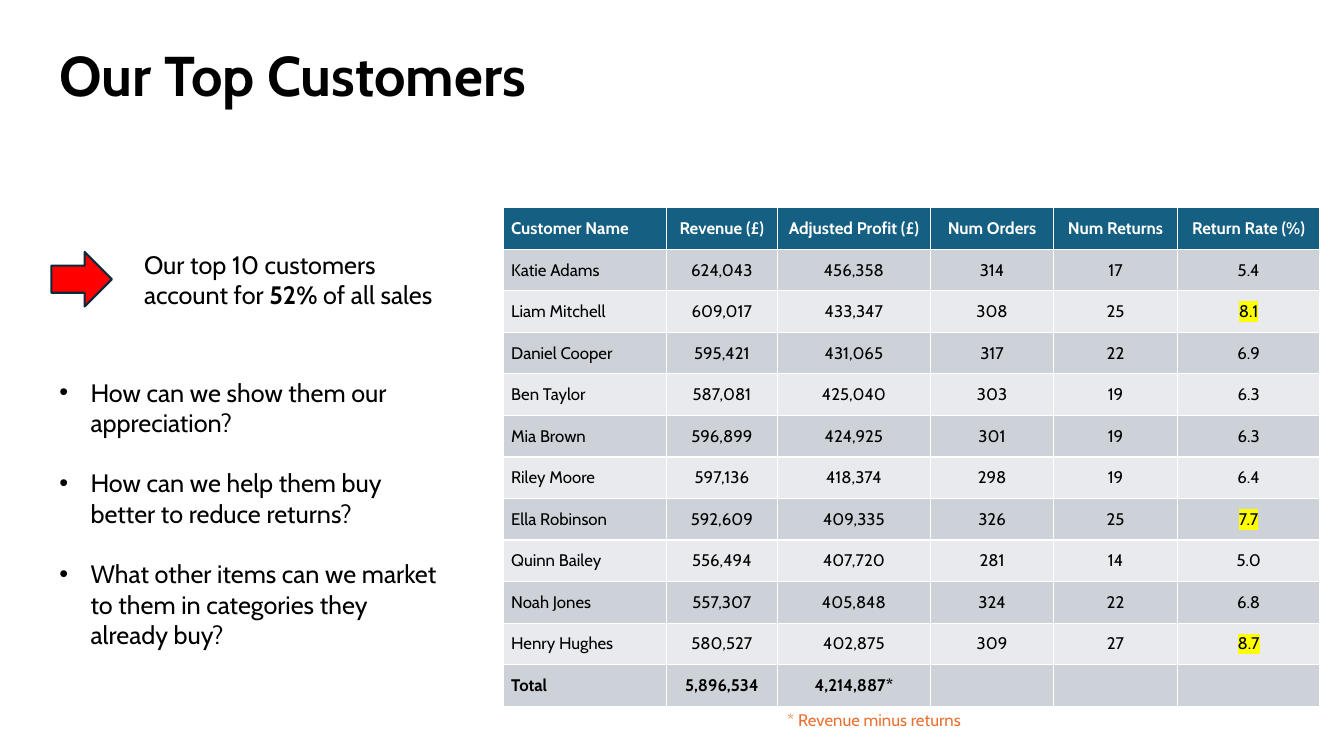
from dataclasses import dataclass

from lxml.etree import SubElement
from pptx import Presentation
from pptx.dml.color import RGBColor
from pptx.enum.shapes import MSO_SHAPE as Preset
from pptx.enum.text import MSO_ANCHOR as Anchor, MSO_AUTO_SIZE as AutoSize, PP_ALIGN as Align
from pptx.oxml.ns import qn
from pptx.util import Inches, Pt


@dataclass(frozen=True)
class Theme:
    font: str = "Cabin"
    black: str = "000000"
    white: str = "FFFFFF"
    header: str = "156082"
    bands: tuple = ("CCD2D8", "E8EAED")
    note: str = "E97132"
    arrow: str = "FF0000"
    arrow_line: str = "092A39"
    highlight: str = "FFFF00"
    title_size: int = 40
    body_size: int = 18
    table_size: int = 12


theme = Theme()


def style(paragraph, size, color=theme.black, bold=False, align=Align.LEFT):
    paragraph.alignment = align
    font = paragraph.font
    font.name, font.size, font.bold = theme.font, Pt(size), bold
    font.color.rgb = RGBColor.from_string(color)


def text_frame(left, top, width, height):
    box = slide.shapes.add_textbox(Inches(left), Inches(top), Inches(width), Inches(height))
    box.text_frame.word_wrap = True
    return box.text_frame


deck = Presentation()
deck.slide_width, deck.slide_height = Inches(13.33), Inches(7.5)
slide = deck.slides.add_slide(deck.slide_layouts[5])

title = slide.shapes.title
title.left, title.top, title.width, title.height = Inches(0.49), Inches(0.35), Inches(5.88), Inches(0.77)
title.text_frame.text = "Our Top Customers"
title.text_frame.vertical_anchor = Anchor.TOP
title.text_frame.auto_size = AutoSize.NONE
style(title.text_frame.paragraphs[0], theme.title_size, bold=True)

title_band = slide.shapes.add_shape(Preset.RECTANGLE, 0, 0, deck.slide_width, Inches(1.86))
title_band.shadow.inherit = False
title_band.fill.solid()
title_band.fill.fore_color.rgb = RGBColor.from_string(theme.white)
title_band.line.fill.background()
title._element.addprevious(title_band._element)

customers = [
    ("Customer Name", "Revenue (£)", "Adjusted Profit (£)", "Num Orders", "Num Returns", "Return Rate (%)"),
    ("Katie Adams", "624,043", "456,358", "314", "17", "5.4"),
    ("Liam Mitchell", "609,017", "433,347", "308", "25", "8.1"),
    ("Daniel Cooper", "595,421", "431,065", "317", "22", "6.9"),
    ("Ben Taylor", "587,081", "425,040", "303", "19", "6.3"),
    ("Mia Brown", "596,899", "424,925", "301", "19", "6.3"),
    ("Riley Moore", "597,136", "418,374", "298", "19", "6.4"),
    ("Ella Robinson", "592,609", "409,335", "326", "25", "7.7"),
    ("Quinn Bailey", "556,494", "407,720", "281", "14", "5.0"),
    ("Noah Jones", "557,307", "405,848", "324", "22", "6.8"),
    ("Henry Hughes", "580,527", "402,875", "309", "27", "8.7"),
    ("Total", "5,896,534", "4,214,887*", "", "", ""),
]
high_return_rates = {"8.1", "7.7", "8.7"}
column_widths = (1.62, 1.1, 1.52, 1.22, 1.23, 1.41)

customer_table = slide.shapes.add_table(
    len(customers), len(column_widths), Inches(4.99), Inches(2.06), Inches(8.09), Inches(4.95)
).table
for column, width in zip(customer_table.columns, column_widths):
    column.width = Inches(width)

for row, values in enumerate(customers):
    is_header = row == 0
    is_total = row == len(customers) - 1
    for col, value in enumerate(values):
        cell = customer_table.cell(row, col)
        cell.vertical_anchor = Anchor.MIDDLE
        cell.margin_left = cell.margin_right = Inches(0.08)
        cell.margin_top = cell.margin_bottom = 0
        cell.fill.solid()
        cell.fill.fore_color.rgb = RGBColor.from_string(
            theme.header if is_header else theme.bands[(row - 1) % 2])
        entry = cell.text_frame.paragraphs[0]
        style(entry, theme.table_size, theme.white if is_header else theme.black,
              is_header or is_total, Align.CENTER if col else Align.LEFT)
        if value:
            run = entry.add_run()
            run.text = value
            if value in high_return_rates:
                marker = SubElement(run._r.get_or_add_rPr(), qn("a:highlight"))
                SubElement(marker, qn("a:srgbClr"), val=theme.highlight)

sales_share = text_frame(1.33, 2.42, 3.19, 0.71).paragraphs[0]
style(sales_share, theme.body_size)
for part in ("Our top 10 customers account for ", "52%", " of all sales"):
    run = sales_share.add_run()
    run.text = part
    if part == "52%":
        run.font.bold = True

footnote = text_frame(7.71, 6.99, 4.07, 0.3).paragraphs[0]
footnote.text = "* Revenue minus returns"
style(footnote, theme.table_size, theme.note)

arrow = slide.shapes.add_shape(Preset.RIGHT_ARROW, Inches(0.51), Inches(2.5), Inches(0.6), Inches(0.54))
arrow.shadow.inherit = False
arrow.fill.solid()
arrow.fill.fore_color.rgb = RGBColor.from_string(theme.arrow)
arrow.line.color.rgb = RGBColor.from_string(theme.arrow_line)
arrow.line.width = Pt(1.5)

questions = text_frame(0.49, 3.69, 4.03, 2.83)
for index, question in enumerate((
    "How can we show them our appreciation?",
    "How can we help them buy better to reduce returns?",
    "What other items can we market to them in categories they already buy?",
)):
    paragraph = questions.add_paragraph() if index else questions.paragraphs[0]
    paragraph.text = question
    if index:
        paragraph.space_before = Pt(21.7)
    properties = paragraph._p.get_or_add_pPr()
    properties.set("marL", str(Inches(0.31)))
    properties.set("indent", str(-Inches(0.31)))
    SubElement(properties, qn("a:buFont"), typeface="Arial")
    SubElement(properties, qn("a:buChar"), char="•")
    style(paragraph, theme.body_size)

deck.save("out.pptx")
